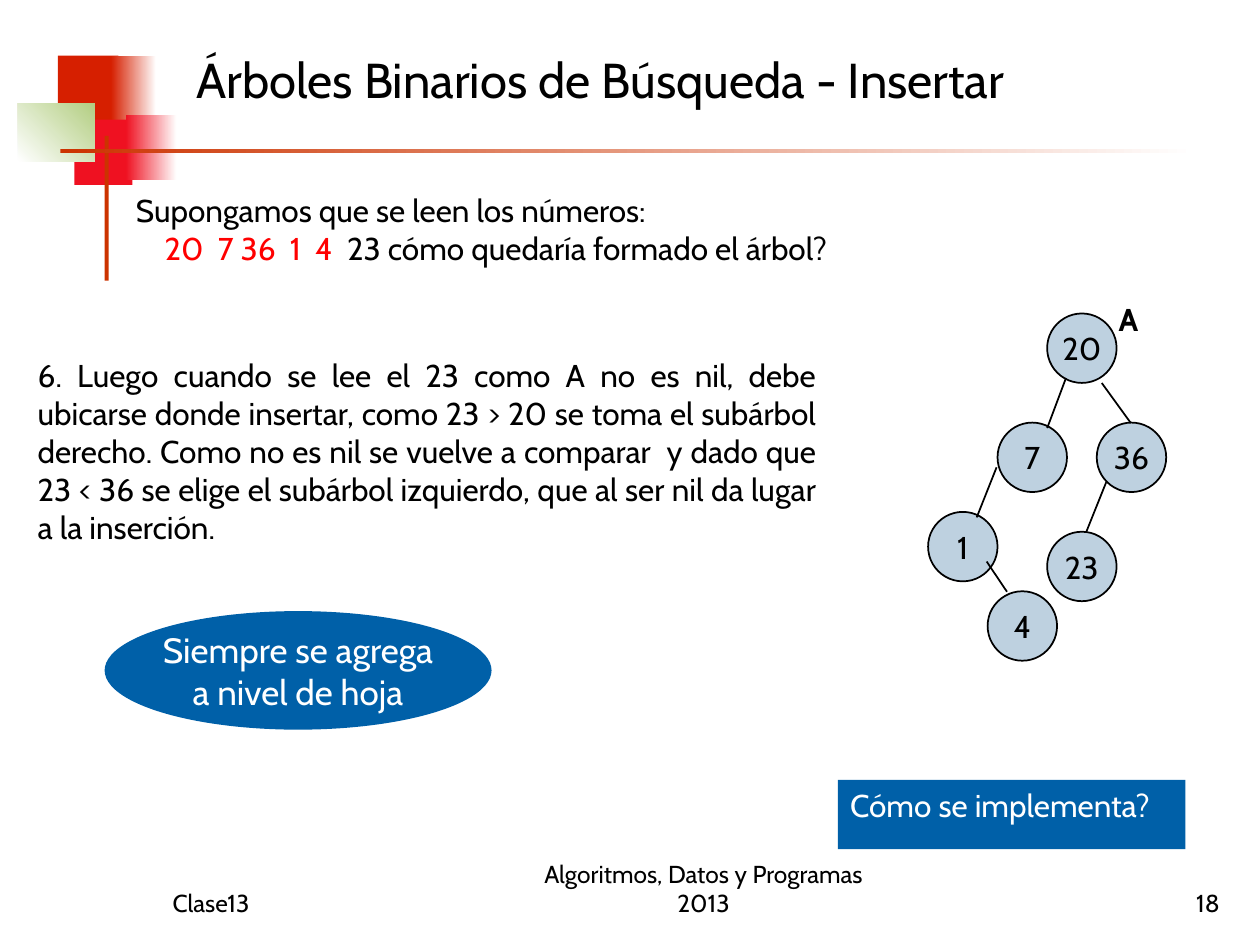
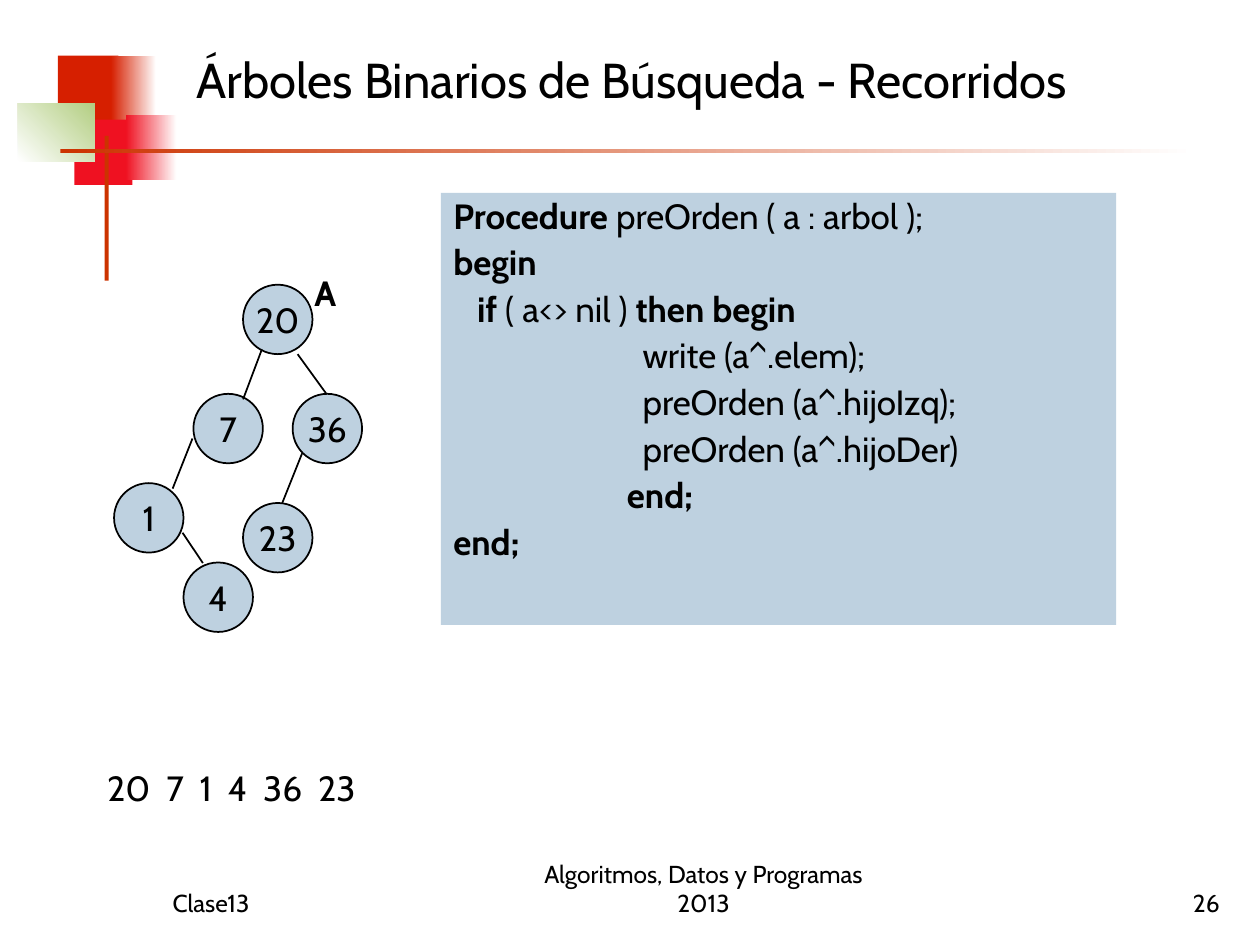
from pptx import Presentation
from pptx.dml.color import RGBColor
from pptx.enum.shapes import MSO_CONNECTOR as Link, MSO_SHAPE as Kind
from pptx.enum.text import MSO_ANCHOR as Anchor, PP_ALIGN as Align
from pptx.oxml.ns import qn
from pptx.util import Cm, Pt

BLACK = RGBColor(0x00, 0x00, 0x00)
WHITE = RGBColor(0xFF, 0xFF, 0xFF)
RED = RGBColor(0xFF, 0x00, 0x00)
BRICK = RGBColor(0xD6, 0x1F, 0x00)
CRIMSON = RGBColor(0xEF, 0x11, 0x21)
GREEN = RGBColor(0xB3, 0xCE, 0x82)
RUST = RGBColor(0xCC, 0x33, 0x00)
BLUE = RGBColor(0x00, 0x60, 0xA8)
PALE = RGBColor(0xBE, 0xD1, 0xE0)
FONT = "Cabin"

# All boxes are left, top, width, height in centimetres.
TITLE = "Árboles Binarios de Búsqueda - "
TITLE_BOX = (3.71, 0.33, 20.6, 2.54)
DECOR = [  # box, fill colours, angle
    ((1.17, 1.12, 1.22, 1.32), [BRICK], 0),
    ((2.24, 1.12, 0.91, 1.32), [BRICK, WHITE], 0),
    ((1.5, 2.41, 1.17, 1.32), [CRIMSON], 0),
    ((2.54, 2.31, 1.02, 1.32), [CRIMSON, WHITE], 0),
    ((0.36, 2.08, 1.55, 1.17), [WHITE, GREEN], 45),
    ((2.11, 2.74, 0.08, 2.92), [RUST], 0),
    ((1.22, 3.0, 22.86, 0.08), [RUST, WHITE], 0),
]
FOOT_TOP, FOOT_TALL = 17.35, 1.27
FOOT = [  # left, width, alignment; the last one holds the page number
    ("Clase13", 3.23, 5.28, Align.LEFT),
    ("Algoritmos, Datos y Programas 2013", 10.16, 8.05, Align.CENTER),
    (None, 19.56, 5.28, Align.RIGHT),
]

# Tree places are relative to the corner of the root.
NODE = 1.4
NODES = {"20": (0, 0), "7": (-1, 2.2), "36": (1, 2.2),
         "1": (-2.4, 4), "4": (-1.2, 5.6), "23": (0, 4.4)}
EDGES = [(0.38, 1.3, 0, 2.31), (1.1, 1.4, 1.68, 2.2),
         (-1.02, 3.1, -1.42, 4.11), (-1.22, 5, -0.81, 5.61),
         (1.19, 3.4, 0.79, 4.4)]

ASK = ["Supongamos que se leen los números:",
       [("20  7 36  1  4", "red"), ("  23 cómo quedaría formado el árbol?", "")]]
STEP = ("6. Luego cuando se lee el 23 como A no es nil, debe ubicarse donde "
        "insertar, como 23 > 20 se toma el subárbol derecho. Como no es nil se "
        "vuelve a comparar  y dado que 23 < 36 se elige el subárbol izquierdo, "
        "que al ser nil da lugar a la inserción.")
LEAF = ["Siempre se agrega", "a nivel de hoja"]
HOW = "Cómo se implementa?"
CODE = [
    [("Procedure", "bold"), (" preOrden ( a : arbol );", "")],
    [("begin", "bold")],
    [("   ", ""), ("if", "bold"), (" ( a<> nil ) ", ""), ("then begin", "bold")],
    "                        write (a^.elem);",
    "                        preOrden (a^.hijoIzq);",
    "                        preOrden (a^.hijoDer)",
    [("                      ", ""), ("end;", "bold")],
    [("end;", "bold")],
]
ORDER = "20  7  1  4  36  23"


def write(shape, paras, size=18, color=BLACK, align=Align.LEFT,
          anchor=Anchor.TOP, wrap=True, bold=None):
    """Fill a shape with paragraphs: plain strings or lists of (text, style)."""
    frame = shape.text_frame
    frame.word_wrap, frame.vertical_anchor = wrap, anchor
    for i, runs in enumerate(paras):
        para = frame.add_paragraph() if i else frame.paragraphs[0]
        para.alignment = align
        font = para.font
        font.name, font.size, font.bold = FONT, Pt(size), bold
        font.color.rgb = color
        for text, style in [(runs, "")] if isinstance(runs, str) else runs:
            run = para.add_run()
            run.text = text
            if style == "bold":
                run.font.bold = True
            elif style == "red":
                run.font.color.rgb = RED
    return frame.paragraphs


def label(slide, box, paras, **look):
    return write(slide.shapes.add_textbox(*map(Cm, box)), paras, **look)


def solid(slide, kind, box, colors, angle=0, line=None):
    """Add a shape with one flat colour or a gradient of two."""
    shape = slide.shapes.add_shape(kind, *map(Cm, box))
    shape.shadow.inherit = False
    if len(colors) == 1:
        shape.fill.solid()
        shape.fill.fore_color.rgb = colors[0]
    else:
        shape.fill.gradient()
        shape.fill.gradient_angle = angle
        for stop, color in zip(shape.fill.gradient_stops, colors):
            stop.color.rgb = color
    if line is None:
        shape.line.fill.background()
    else:
        shape.line.color.rgb, shape.line.width = line, Pt(1)
    return shape


def start(deck, topic, page):
    """Add a slide with the shared band, title and footers."""
    slide = deck.slides.add_slide(deck.slide_layouts[6])
    for box, colors, angle in DECOR:
        solid(slide, Kind.RECTANGLE, box, colors, angle)
    label(slide, TITLE_BOX, [TITLE + topic], size=28, anchor=Anchor.MIDDLE)
    for text, left, wide, align in FOOT:
        label(slide, (left, FOOT_TOP, wide, FOOT_TALL), [text or str(page)],
              size=14, align=align, anchor=Anchor.BOTTOM)
    return slide


def tree(slide, left, top, size, shift=0):
    """Draw the tree; shift moves the leftmost node sideways."""
    for name, (x, y) in NODES.items():
        x += shift if name == "1" else 0
        node = solid(slide, Kind.OVAL, (left + x, top + y, NODE, NODE), [PALE],
                     line=BLACK)
        write(node, [name], size, align=Align.CENTER, anchor=Anchor.MIDDLE,
              wrap=False)
    label(slide, (left + 1.19, top - 0.39, 1, 1.02), ["A"], size=size, bold=True)
    for x1, y1, x2, y2 in EDGES:
        edge = slide.shapes.add_connector(
            Link.STRAIGHT, Cm(left + x1), Cm(top + y1), Cm(left + x2), Cm(top + y2))
        edge.line.color.rgb, edge.line.width = BLACK, Pt(1)
        props = edge._element.spPr
        props.append(props.makeelement(qn("a:effectLst"), {}))


def insert(deck):
    slide = start(deck, "Insertar", 18)
    label(slide, (0.51, 7.06, 16.2, 4.06), [STEP], align=Align.JUSTIFY)
    tree(slide, 21.11, 6.32, 18)
    how = solid(slide, Kind.RECTANGLE, (16.89, 15.72, 7.01, 1.4), [BLUE])
    write(how, [HOW], color=WHITE)
    leaf = solid(slide, Kind.OVAL, (2.11, 12.32, 7.8, 2.39), [BLUE])
    write(leaf, LEAF, 20, WHITE, Align.CENTER, Anchor.MIDDLE, False)
    ask = label(slide, (2.49, 3.73, 21.82, 1.78), ASK, align=Align.JUSTIFY)
    ask[1]._p.get_or_add_pPr().set("marL", str(Cm(0.58)))


def walk(deck):
    slide = start(deck, "Recorridos", 26)
    panel = solid(slide, Kind.RECTANGLE, (8.89, 3.89, 13.61, 8.71), [PALE])
    for i, para in enumerate(write(panel, CODE, 20)):
        para.line_spacing = 0.9
        para.space_before = Pt(5 if i else 0)
    label(slide, (1.91, 15.32, 8, 1.12), [ORDER], size=20)
    tree(slide, 4.9, 5.74, 20, shift=-0.2)


def main():
    deck = Presentation()
    deck.slide_width, deck.slide_height = Cm(25.4), Cm(19.05)
    insert(deck)
    walk(deck)
    deck.save("out.pptx")


if __name__ == "__main__":
    main()
